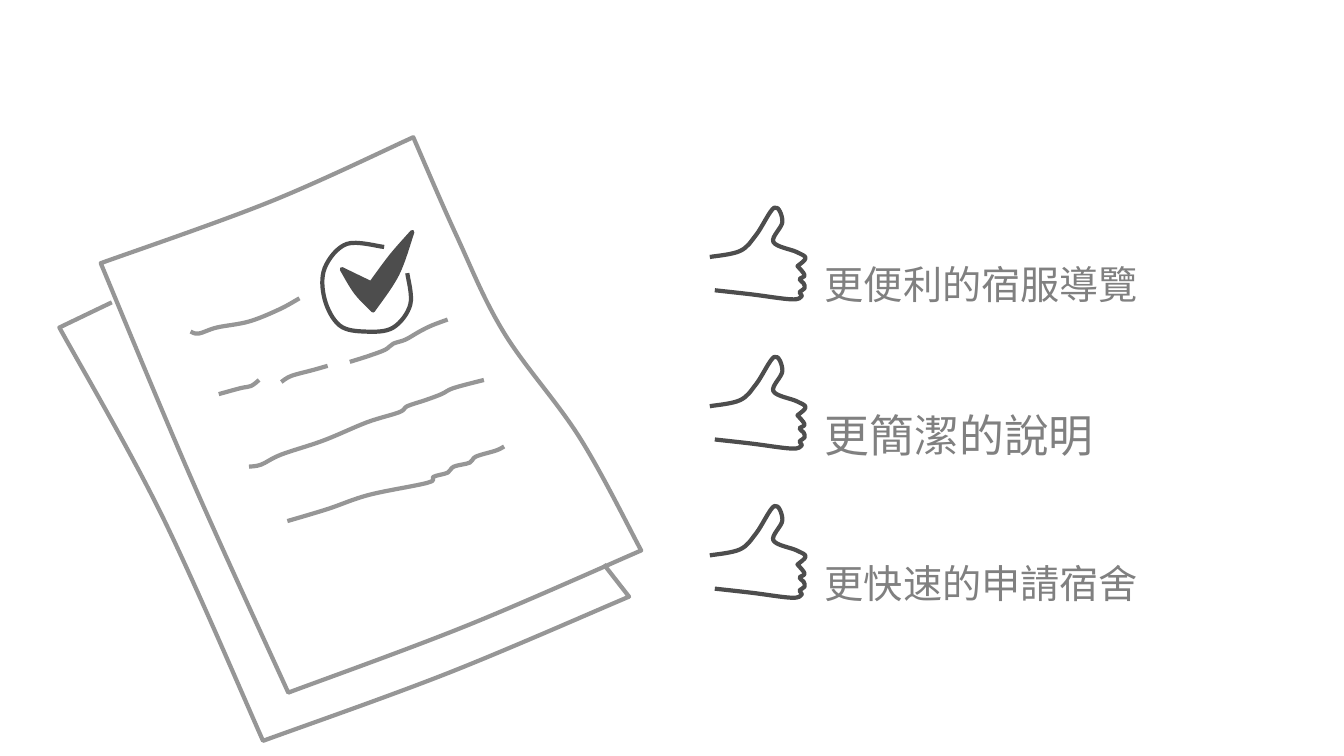
"""Build a slide with a sketched checklist and three thumbs-up benefits."""
from math import cos, radians, sin

from lxml.etree import SubElement
from pptx import Presentation
from pptx.dml.color import RGBColor
from pptx.enum.text import MSO_ANCHOR, MSO_AUTO_SIZE
from pptx.oxml.ns import qn
from pptx.util import Pt

PX = 9144
FONT = "Noto Sans CJK SC"
DARK, PENCIL, TEXT = "4D4D4D", "969696", "808080"
TILT = -11.6
ROW_STEP = 148


def color(value):
    return RGBColor.from_string(value)


def sketch(shapes, knots, line, corners=(), fill=None, down=0, pivot=None):
    """Draw a smooth curve through the knots, sharp at the corner indexes."""
    knots = [(x * PX, (y + down) * PX) for x, y in knots]
    if pivot:
        turn, (mid_x, mid_y) = radians(-TILT), [value * PX for value in pivot]
        knots = [
            (mid_x + (x - mid_x) * cos(turn) - (y - mid_y) * sin(turn),
             mid_y + (x - mid_x) * sin(turn) + (y - mid_y) * cos(turn))
            for x, y in knots
        ]
    last = len(knots) - 1
    sharp = {0, last, *corners}
    points = []
    for index in range(last):
        start, end = knots[index], knots[index + 1]
        before = start if index in sharp else knots[index - 1]
        after = end if index + 1 in sharp else knots[index + 2]
        points.append([s + (e - b) / 6 for s, e, b in zip(start, end, before)])
        points.append([e - (a - s) / 6 for s, e, a in zip(start, end, after)])
        points.append(end)
    builder = shapes.build_freeform(*knots[0])
    builder.add_line_segments(points, close=knots[0] == knots[-1])
    shape = builder.convert_to_shape()
    outline = shape.element.xpath(".//a:path")[0]
    steps = outline.findall(qn("a:lnTo"))
    for curve, second, end in zip(steps[::3], steps[1::3], steps[2::3]):
        curve.tag = qn("a:cubicBezTo")
        for extra in (second, end):
            curve.append(extra[0])
            outline.remove(extra)
    shape.shadow.inherit = False
    shape.line.color.rgb = color(line)
    shape.line.width = Pt(3)
    if fill:
        shape.fill.solid()
        shape.fill.fore_color.rgb = color(fill)
    else:
        shape.fill.background()
    if pivot:
        shape.rotation = TILT


deck = Presentation()
deck.slide_width, deck.slide_height = 1333 * PX, 750 * PX
page = deck.slides.add_slide(deck.slide_layouts[6])

thumb = [
    (704, 255), (734, 249), (750, 233), (768, 206), (776, 220), (767, 240),
    (790, 250), (799, 256), (791, 264), (798, 273), (793, 277), (797, 281),
    (798, 286), (793, 290), (795, 294), (785, 297), (745, 292), (709, 288),
]
benefits = [
    ("更便利的宿服導覽", 28, 64),
    ("更簡潔的說明", 32, 72),
    ("更快速的申請宿舍", 28, 64),
]
for row, (wording, size, height) in enumerate(benefits):
    down = row * ROW_STEP
    sketch(page.shapes, thumb, DARK, corners=[8], down=down)
    top = 275 + down - height // 2
    box = page.shapes.add_textbox(814 * PX, top * PX, 482 * PX, height * PX)
    frame_format = {
        "word_wrap": True,
        "auto_size": MSO_AUTO_SIZE.SHAPE_TO_FIT_TEXT,
        "vertical_anchor": MSO_ANCHOR.MIDDLE,
    }
    for side in ("left", "right", "top", "bottom"):
        frame_format["margin_" + side] = 4 * PX
    for name, value in frame_format.items():
        setattr(box.text_frame, name, value)
    para = box.text_frame.paragraphs[0]
    para.line_spacing = 1.3
    span = para.add_run()
    span.text = wording
    for name, value in {"name": FONT, "size": Pt(size)}.items():
        setattr(span.font, name, value)
    span.font.color.rgb = color(TEXT)
    SubElement(span.font._element, qn("a:ea"), typeface=FONT)

checkbox = page.shapes.add_group_shape().shapes
frame = [
    (381, 245), (344, 242), (322, 266), (322, 297), (337, 323),
    (363, 329), (390, 325), (407, 302), (404, 271),
]
tick = [
    (409, 230), (388, 254), (368, 281), (339, 267),
    (353, 290), (370, 308), (394, 272), (409, 230),
]
sketch(checkbox, frame, DARK)
sketch(checkbox, tick, DARK, corners=[2, 3, 5], fill=DARK)

papers = page.shapes.add_group_shape().shapes
front_sheet = [
    (410, 136), (268, 200), (100, 261), (190, 475), (286, 687), (462, 621),
    (636, 546), (575, 434), (500, 330), (453, 234), (410, 136),
]
back_sheet = [
    (111, 300), (59, 325), (160, 510), (261, 735),
    (444, 668), (624, 592), (599, 560),
]
sketch(papers, front_sheet, PENCIL, corners=[2, 4, 6], pivot=(368, 407))
sketch(papers, back_sheet, PENCIL, corners=[1, 3, 5], pivot=(347, 484))

scribbles = [
    [(189, 329), (197, 331), (215, 325), (247, 319), (277, 307), (297, 296)],
    [(217, 391), (239, 385), (249, 383), (257, 377)],
    [(279, 379), (289, 373), (311, 367), (325, 363)],
    [(347, 359), (366, 353), (382, 347), (390, 341), (402, 337),
     (416, 329), (428, 323), (444, 317)],
    [(247, 463), (259, 461), (279, 451), (321, 437), (364, 419),
     (396, 409), (404, 403), (422, 397), (438, 391), (450, 385), (480, 377)],
    [(285, 517), (325, 505), (366, 491), (424, 479), (430, 473),
     (444, 469), (450, 463), (466, 459), (472, 453), (492, 447), (500, 443)],
]
for scribble in scribbles:
    sketch(papers, scribble, PENCIL)

deck.save("out.pptx")
